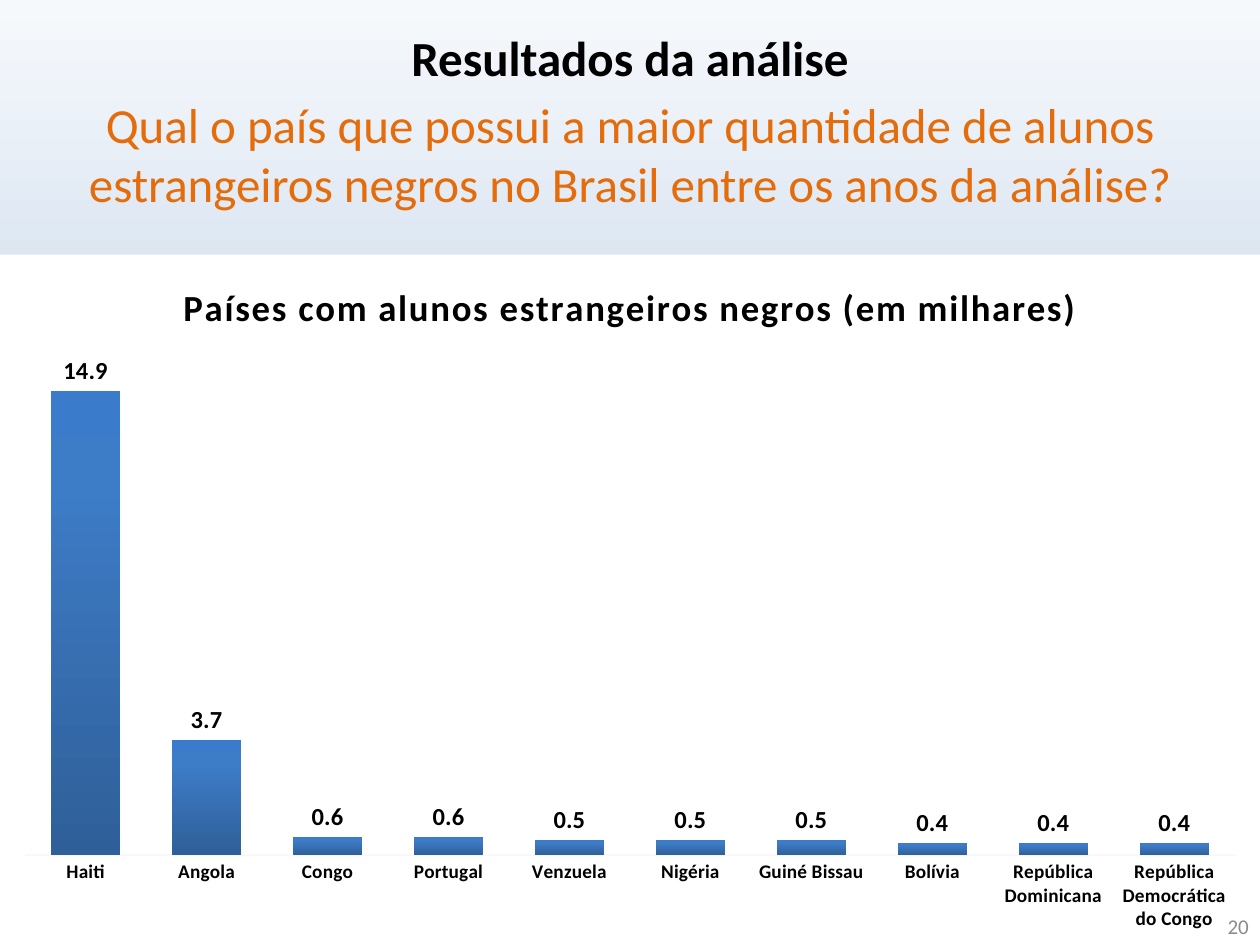
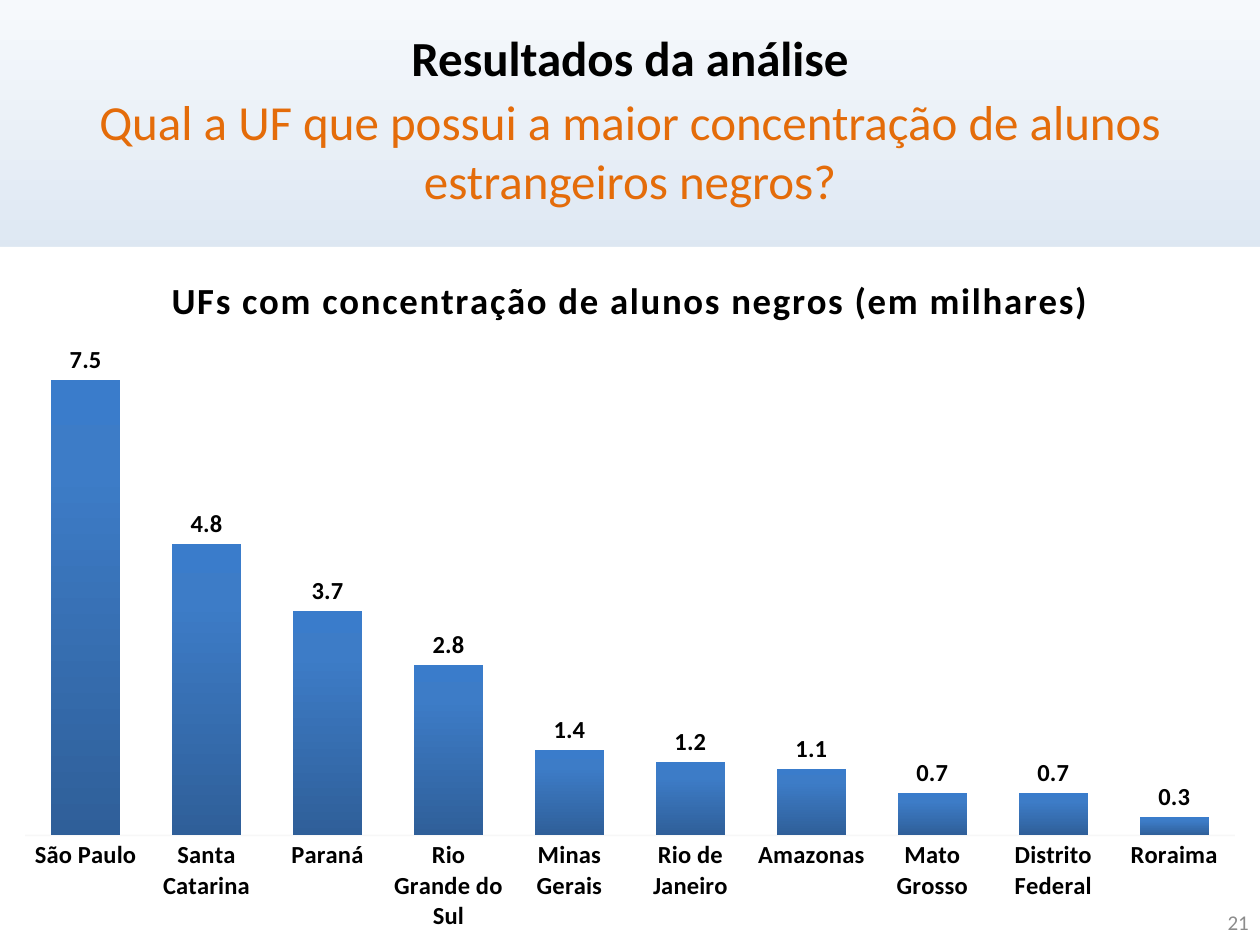
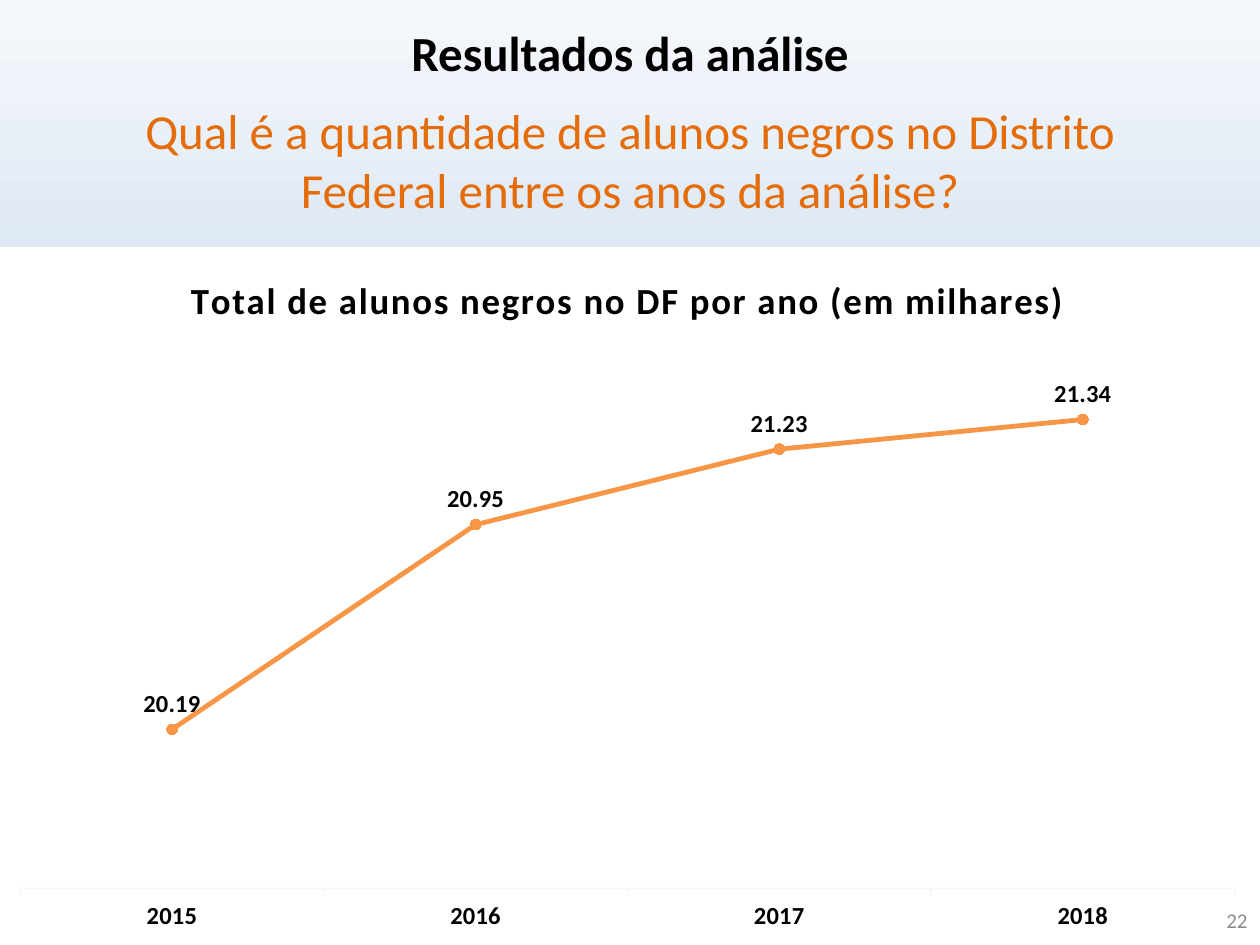
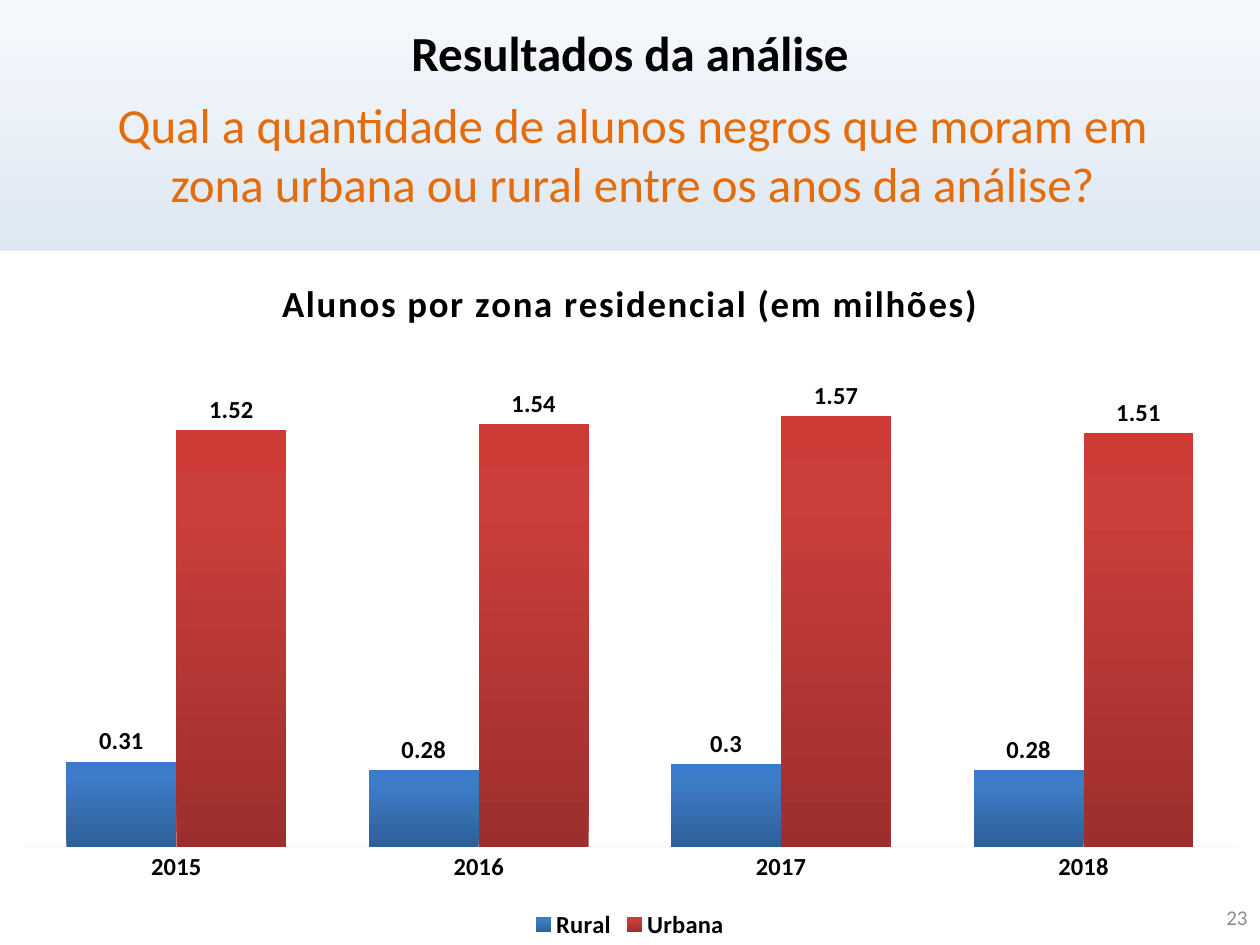
from dataclasses import dataclass
from typing import Optional

from lxml import etree
from pptx import Presentation
from pptx import util as u
from pptx.chart import data as chart_data
from pptx.dml import color
from pptx.enum import chart as charts, text
from pptx.oxml import ns

FONT = "Calibri"
BLACK = "000000"
ORANGE = "E46C0A"
GRAY = "8C8C8C"
WHITE = "FFFFFF"
AXIS_GRAY = "F2F2F2"
LINE_ORANGE = "F79646"
MARKER_ORANGE = "FF9034"
SKY = [(0, "F6F9FC"), (74, "B0C6E1"), (83, "B0C6E1"), (100, "CAD9EB")]
BLUE = [(0, "2F5F99"), (80, "3D7CC7"), (100, "3A7CCB")]
RED = [(0, "9C2F2D"), (80, "CB3E3A"), (100, "CE3B37")]
DOWNWARD, UPWARD = 270, 90
HEADING = "Resultados da análise"
FIRST_NUMBER = 20
YEARS = ["2015", "2016", "2017", "2018"]


@dataclass(frozen=True)
class Box:
    left: float
    top: float
    width: float
    height: float

    def inches(self) -> list:
        return [u.Inches(v) for v in (self.left, self.top, self.width, self.height)]


@dataclass(frozen=True)
class Graph:
    title: str
    box: Box
    categories: list
    series: dict
    top_value: float
    base_value: float = 0
    category_size: int = 14
    is_line: bool = False


@dataclass(frozen=True)
class Result:
    question: str
    heading_box: Box
    question_box: Box
    number_box: Box
    graph: Graph


RESULTS = [
    Result(
        "Qual o país que possui a maior quantidade de alunos estrangeiros negros no Brasil entre os anos da análise?",
        Box(0.5, 0.17, 9, 0.55), Box(0.5, 0.7, 9, 1.35), Box(7.68, 7.15, 2.33, 0.4),
        Graph(
            "Países com alunos estrangeiros negros (em milhares)",
            Box(0, 2.02, 10, 5.48),
            ["Haiti", "Angola", "Congo", "Portugal", "Venzuela", "Nigéria", "Guiné Bissau",
             "Bolívia", "República Dominicana", "República Democrática do Congo"],
            {"Series 1": [14.9, 3.7, 0.6, 0.6, 0.5, 0.5, 0.5, 0.4, 0.4, 0.4]},
            top_value=16, category_size=11,
        ),
    ),
    Result(
        "Qual a UF que possui a maior concentração de alunos estrangeiros negros?",
        Box(0.5, 0.17, 9, 0.55), Box(0.5, 0.68, 9, 1.04), Box(7.68, 7.12, 2.33, 0.4),
        Graph(
            "UFs com concentração de alunos negros (em milhares)",
            Box(0, 1.96, 10, 5.54),
            ["São Paulo", "Santa Catarina", "Paraná", "Rio Grande do Sul", "Minas Gerais",
             "Rio de Janeiro", "Amazonas", "Mato Grosso", "Distrito Federal", "Roraima"],
            {"Series 1": [7.5, 4.8, 3.7, 2.8, 1.4, 1.2, 1.1, 0.7, 0.7, 0.3]},
            top_value=8,
        ),
    ),
    Result(
        "Qual é a quantidade de alunos negros no Distrito Federal entre os anos da análise?",
        Box(0.5, 0.13, 9, 0.6), Box(0.5, 0.75, 9, 1.02), Box(7.67, 7.1, 2.33, 0.4),
        Graph(
            "Total de alunos negros no DF por ano (em milhares)",
            Box(-0.04, 1.96, 10.04, 5.54),
            YEARS,
            {"Series 1": [20.19, 20.95, 21.23, 21.34]},
            top_value=21.6, base_value=19.6, is_line=True,
        ),
    ),
    Result(
        "Qual a quantidade de alunos negros que moram em zona urbana ou rural entre os anos da análise?",
        Box(0.5, 0.13, 9, 0.58), Box(0.52, 0.7, 9, 1.04), Box(7.67, 7.08, 2.33, 0.4),
        Graph(
            "Alunos por zona residencial (em milhões)",
            Box(0, 1.99, 10, 5.51),
            YEARS,
            {"Rural": [0.31, 0.28, 0.3, 0.28], "Urbana": [1.52, 1.54, 1.57, 1.51]},
            top_value=1.8,
        ),
    ),
]


def rgb(value: str) -> color.RGBColor:
    return color.RGBColor.from_string(value)


def set_font(font, size: float, shade: str = BLACK, bold: bool = False) -> None:
    font.name = FONT
    font.size = u.Pt(size)
    font.bold = bold
    font.color.rgb = rgb(shade)


def set_fill(fill, shade: str) -> None:
    fill.solid()
    fill.fore_color.rgb = rgb(shade)


def set_gradient(fill, owner, stops: list, angle: int) -> None:
    fill.gradient()
    fill.gradient_angle = angle
    stop_list = next(owner.iter(ns.qn("a:gsLst")))
    stop_list.clear()
    for position, shade in stops:
        stop = etree.SubElement(stop_list, ns.qn("a:gs"), pos=str(position * 1000))
        etree.SubElement(stop, ns.qn("a:srgbClr"), val=shade)


def add_text(slide, content: str, box: Box, *, size: float = 28, shade: str = BLACK,
             bold: bool = False, align=text.PP_ALIGN.CENTER,
             anchor=text.MSO_ANCHOR.TOP) -> None:
    frame = slide.shapes.add_textbox(*box.inches()).text_frame
    frame.word_wrap = True
    frame.vertical_anchor = anchor
    paragraph = frame.paragraphs[0]
    paragraph.alignment = align
    run = paragraph.add_run()
    run.text = content
    set_font(run.font, size, shade, bold)


def style_title(chart, content: str) -> None:
    chart.has_title = True
    chart.chart_title.include_in_layout = False
    run = chart.chart_title.text_frame.paragraphs[0].add_run()
    run.text = content
    set_font(run.font, 21, bold=True)
    run.font._element.set("spc", "100")


def style_axes(chart, graph: Graph) -> None:
    values = chart.value_axis
    values.minimum_scale, values.maximum_scale = graph.base_value, graph.top_value
    values.has_major_gridlines = False
    values.visible = False
    categories = chart.category_axis
    categories.has_major_gridlines = False
    categories.major_tick_mark = (
        charts.XL_TICK_MARK.OUTSIDE if graph.is_line else charts.XL_TICK_MARK.NONE)
    set_font(categories.tick_labels.font, graph.category_size, bold=True)
    line = categories.format.line
    line.width = u.Pt(1)
    set_fill(line.fill, AXIS_GRAY)
    axis_shade = next(categories.format._element.iter(ns.qn("a:srgbClr")))
    etree.SubElement(axis_shade, ns.qn("a:alpha"), val="54000")


def style_line(series) -> None:
    series.smooth = False
    series.format.line.width = u.Pt(2.75)
    set_fill(series.format.line.fill, LINE_ORANGE)
    series.marker.style = charts.XL_MARKER_STYLE.CIRCLE
    series.marker.size = 6
    set_fill(series.marker.format.fill, MARKER_ORANGE)
    set_fill(series.marker.format.line.fill, LINE_ORANGE)


def style_labels(series, position) -> None:
    labels = series.data_labels
    labels.show_value = True
    labels.position = position
    set_font(labels.font, 14, bold=True)


def style_legend(chart) -> None:
    chart.has_legend = True
    chart.legend.position = charts.XL_LEGEND_POSITION.BOTTOM
    chart.legend.include_in_layout = False
    set_font(chart.legend.font, 14, bold=True)


def paint_chart_area(chart, shade: str) -> None:
    area = etree.Element(ns.qn("c:spPr"))
    solid = etree.SubElement(area, ns.qn("a:solidFill"))
    etree.SubElement(solid, ns.qn("a:srgbClr"), val=shade)
    border = etree.SubElement(area, ns.qn("a:ln"))
    etree.SubElement(border, ns.qn("a:noFill"))
    chart.element.find(ns.qn("c:chart")).addnext(area)


def add_graph(slide, graph: Graph) -> None:
    data = chart_data.CategoryChartData()
    data.categories = graph.categories
    for name, values in graph.series.items():
        data.add_series(name, values)
    kinds = charts.XL_CHART_TYPE
    kind = kinds.LINE_MARKERS if graph.is_line else kinds.COLUMN_CLUSTERED
    chart = slide.shapes.add_chart(kind, *graph.box.inches(), data).chart
    set_font(chart.font, 10)
    paint_chart_area(chart, WHITE)
    style_title(chart, graph.title)
    style_axes(chart, graph)
    plot = chart.plots[0]
    plot.vary_by_categories = False
    if not graph.is_line:
        plot.gap_width = 75
        plot.overlap = 0
    for series, stops in zip(plot.series, (BLUE, RED)):
        if graph.is_line:
            style_line(series)
            style_labels(series, charts.XL_LABEL_POSITION.ABOVE)
        else:
            set_gradient(series.format.fill, series._element, stops, UPWARD)
            style_labels(series, charts.XL_LABEL_POSITION.OUTSIDE_END)
    if len(graph.series) > 1:
        style_legend(chart)
    else:
        chart.has_legend = False


def add_result(deck, result: Result, number: int) -> None:
    slide = deck.slides.add_slide(deck.slide_layouts[6])
    set_gradient(slide.background.fill, slide.element, SKY, DOWNWARD)
    add_graph(slide, result.graph)
    add_text(slide, HEADING, result.heading_box, bold=True)
    add_text(slide, result.question, result.question_box, shade=ORANGE)
    add_text(slide, str(number), result.number_box, size=12, shade=GRAY,
             align=text.PP_ALIGN.RIGHT, anchor=text.MSO_ANCHOR.MIDDLE)


def main() -> None:
    deck = Presentation()
    deck.slide_width, deck.slide_height = u.Inches(10), u.Inches(7.5)
    for number, result in enumerate(RESULTS, FIRST_NUMBER):
        add_result(deck, result, number)
    deck.save("out.pptx")


if __name__ == "__main__":
    main()
